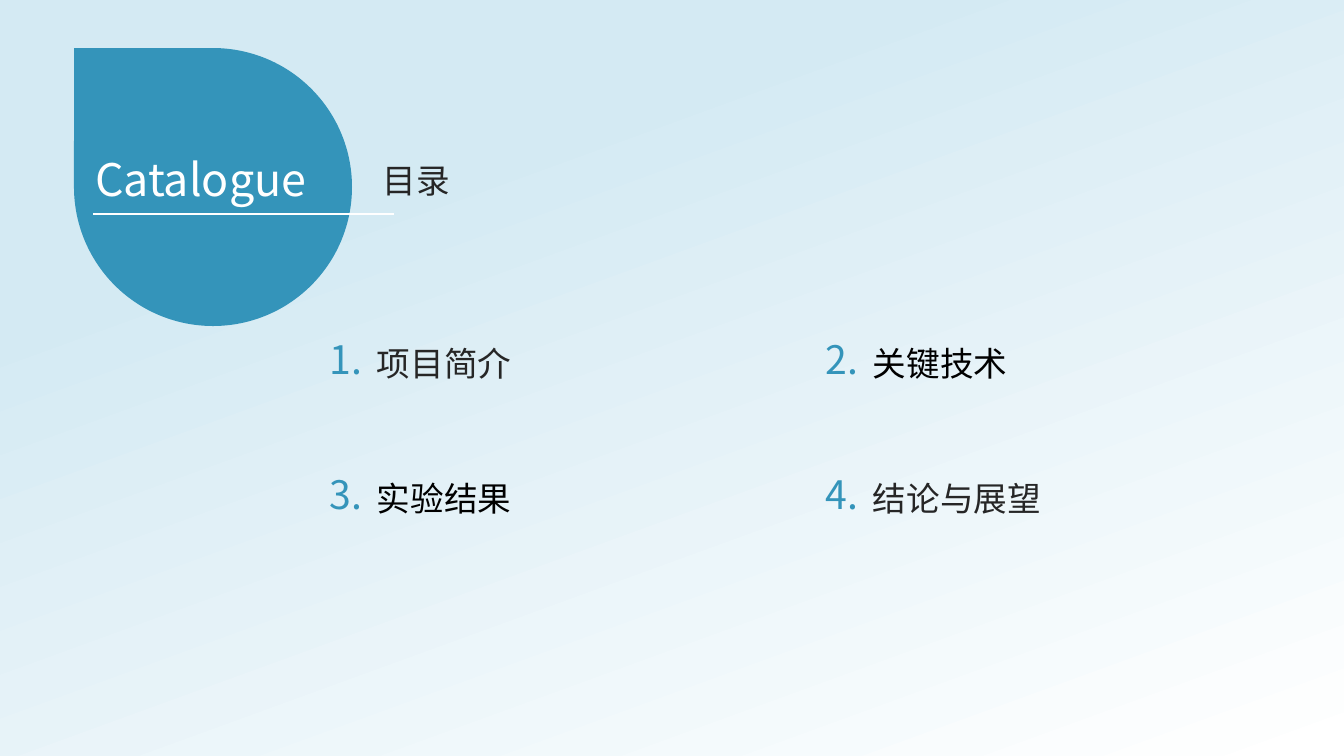
from dataclasses import dataclass

from lxml import etree
from pptx import Presentation, util as u
from pptx.dml.color import RGBColor
from pptx.enum import shapes, text
from pptx.oxml.ns import qn

EMU_PER_PX = 914400 / 100.8


def px(length):
    return u.Emu(round(length * EMU_PER_PX))


@dataclass(frozen=True)
class Theme:
    font: str = "Noto Sans CJK SC"
    accent: str = "3494BA"
    pale: str = "D4EAF3"
    white: str = "FFFFFF"
    black: str = "000000"
    dark: str = "262626"
    title_size: int = 32
    number_size: int = 28
    label_size: int = 24


def write_text(shape, content, *, font, size, color, spacing=1.1,
               anchor=text.MSO_ANCHOR.MIDDLE, fit=text.MSO_AUTO_SIZE.NONE):
    frame = shape.text_frame
    frame.word_wrap = True
    frame.auto_size = fit
    frame.vertical_anchor = anchor
    frame.margin_left = frame.margin_right = 0
    frame.margin_top = frame.margin_bottom = 0
    paragraph = frame.paragraphs[0]
    paragraph.alignment = text.PP_ALIGN.LEFT
    paragraph.line_spacing = spacing
    paragraph.space_before = u.Pt(0)
    run = paragraph.add_run()
    run.text = content
    run.font.size = u.Pt(size)
    run.font.color.rgb = RGBColor.from_string(color)
    run.font.name = font
    # East Asian glyphs take their own font element
    etree.SubElement(run.font._element, qn("a:ea"), typeface=font)


class SlideBuilder:
    def __init__(self, slide, theme):
        self.slide = slide
        self.theme = theme

    def shape(self, kind, left, top, width, height):
        shape = self.slide.shapes.add_shape(
            kind, px(left), px(top), px(width), px(height))
        shape.shadow.inherit = False
        shape.line.fill.background()
        return shape

    def backdrop(self, width, height):
        shape = self.shape(shapes.MSO_SHAPE.RECTANGLE, 0, 0, width, height)
        shape.fill.gradient()
        shape.fill.gradient_angle = 290
        stops = ((0.26, self.theme.pale), (1, self.theme.white))
        for stop, (position, color) in zip(shape.fill.gradient_stops, stops):
            stop.position = position
            stop.color.rgb = RGBColor.from_string(color)

    def teardrop(self, left, top, size):
        shape = self.shape(shapes.MSO_SHAPE.TEAR, left, top, size, size)
        shape.rotation = 270
        shape.fill.solid()
        shape.fill.fore_color.rgb = RGBColor.from_string(self.theme.accent)

    def title(self, content, left, top, width, height):
        title = self.slide.shapes.title
        title.left, title.top = px(left), px(top)
        title.width, title.height = px(width), px(height)
        write_text(title, content, font=self.theme.font,
                   size=self.theme.title_size, color=self.theme.white)
        # Bring the title in front of the shapes drawn so far
        self.slide.shapes._spTree.append(title._element)

    def text(self, content, left, top, width, height, **style):
        box = self.slide.shapes.add_textbox(
            px(left), px(top), px(width), px(height))
        write_text(box, content, font=self.theme.font, **style)

    def line(self, x1, y1, x2, y2):
        line = self.slide.shapes.add_connector(
            shapes.MSO_CONNECTOR.STRAIGHT, px(x1), px(y1), px(x2), px(y2))
        line.line.width = u.Pt(1)
        line.line.color.rgb = RGBColor.from_string(self.theme.white)
        etree.SubElement(line._element.spPr, qn("a:effectLst"))


def main():
    theme = Theme()
    presentation = Presentation()
    presentation.slide_width, presentation.slide_height = px(1344), px(756)
    title_only = presentation.slide_layouts[5]
    builder = SlideBuilder(presentation.slides.add_slide(title_only), theme)

    # Background and heading
    builder.backdrop(1344, 756)
    builder.teardrop(74, 48, 278)
    builder.title("Catalogue", 95, 145, 236, 61)
    builder.text("目录", 383, 160, 87, 37,
                 size=theme.label_size, color=theme.dark)
    builder.line(394, 214, 93, 214)

    # Numbered topics in a two-by-two grid
    topics = (("项目简介", theme.dark), ("关键技术", theme.black),
              ("实验结果", theme.black), ("结论与展望", theme.dark))
    for index, (topic, color) in enumerate(topics):
        row, column = divmod(index, 2)
        left, top = 330 + 496 * column, 335 + 135 * row
        builder.text(f"{index + 1}.", left, top, 43, 43,
                     size=theme.number_size, color=theme.accent,
                     fit=text.MSO_AUTO_SIZE.SHAPE_TO_FIT_TEXT)
        builder.text(topic, left + 47, top, 397, 99,
                     size=theme.label_size, color=color, spacing=1.2,
                     anchor=text.MSO_ANCHOR.TOP)

    presentation.save("out.pptx")


if __name__ == "__main__":
    main()
